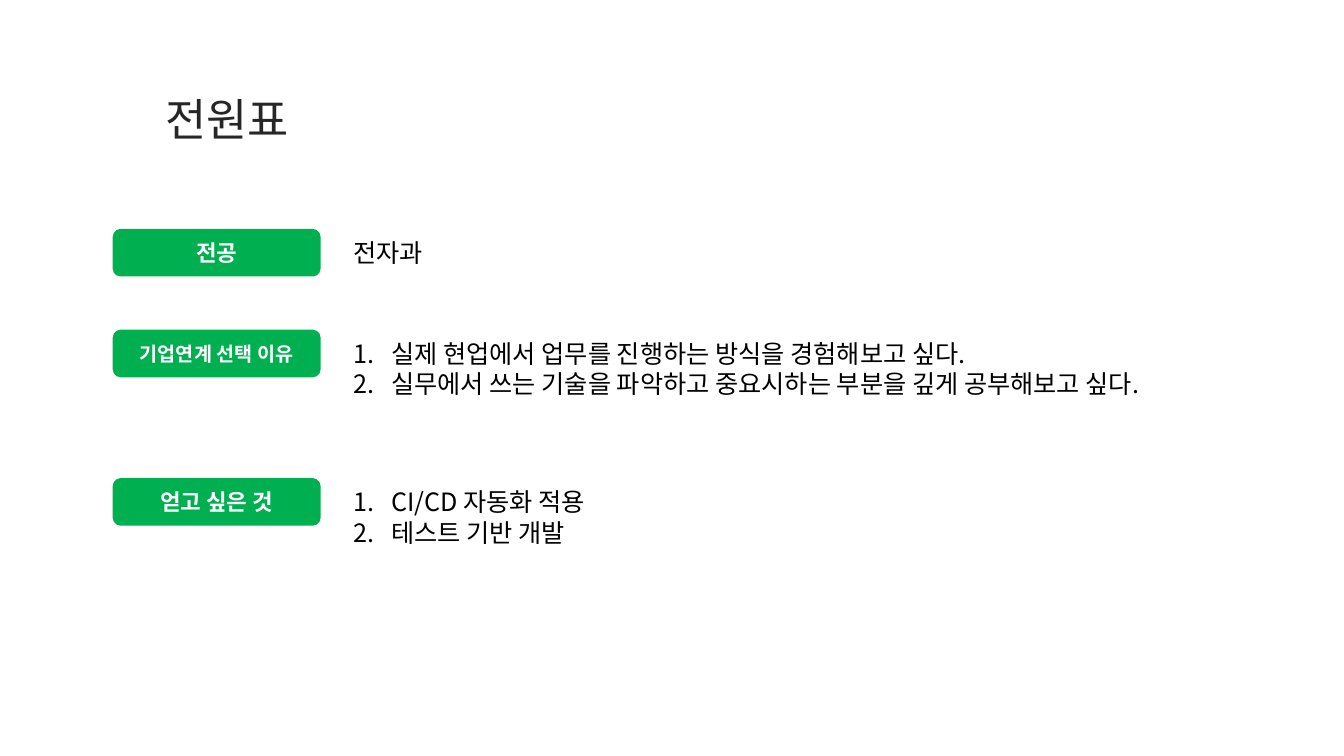
from lxml import etree
from pptx import Presentation
from pptx.dml.color import RGBColor
from pptx.enum.shapes import MSO_SHAPE as Preset
from pptx.enum.text import MSO_ANCHOR as Anchor, MSO_AUTO_SIZE as AutoSize, PP_ALIGN as Align
from pptx.oxml.ns import qn
from pptx.util import Pt

FONT = "Noto Sans CJK KR"
GREEN, WHITE, BLACK, DARK = "00B050", "FFFFFF", "000000", "262626"
LABEL_LEFT, LABEL_WIDTH, LABEL_HEIGHT = 80.5, 148.5, 34
ANSWER_LEFT, ANSWER_DROP, LIST_INDENT = 245.5, 2.5, 27

# top, label, label size, answer width, answer height, answer lines
ROWS = [
    (163.5, "전공", 16, 69, 29, ["전자과"]),
    (235.5, "기업연계 선택 이유", 14, 643, 51,
     ["실제 현업에서 업무를 진행하는 방식을 경험해보고 싶다.",
      "실무에서 쓰는 기술을 파악하고 중요시하는 부분을 깊게 공부해보고 싶다."]),
    (341.5, "얻고 싶은 것", 16, 316, 51, ["CI/CD 자동화 적용", "테스트 기반 개발"]),
]


def color(value):
    return RGBColor.from_string(value)


def points(*values):
    return [Pt(value) for value in values]


def set_attributes(target, values):
    for name, value in values.items():
        setattr(target, name, value)


def write(paragraph, text, size, text_color, bold=False):
    run = paragraph.add_run()
    run.text = text
    run.font.color.rgb = color(text_color)
    set_attributes(run.font, {"name": FONT, "size": Pt(size), "bold": bold})
    etree.SubElement(run.font._element, qn("a:ea"), typeface=FONT)


def number(paragraph):
    """Turn the paragraph into an automatically numbered list item."""
    properties = paragraph._p.get_or_add_pPr()
    properties.set("marL", str(Pt(LIST_INDENT)))
    properties.set("indent", str(-Pt(LIST_INDENT)))
    etree.SubElement(properties, qn("a:buFont"), typeface="+mj-lt")
    etree.SubElement(properties, qn("a:buAutoNum"), type="arabicPeriod")


def add_title(slide, text, left, top, width, height):
    title = slide.shapes.title
    set_attributes(title, dict(zip(("left", "top", "width", "height"),
                                   points(left, top, width, height))))
    set_attributes(title.text_frame, {"vertical_anchor": Anchor.MIDDLE, "word_wrap": True,
                                      "auto_size": AutoSize.SHAPE_TO_FIT_TEXT})
    paragraph = title.text_frame.paragraphs[0]
    paragraph.alignment = Align.LEFT
    write(paragraph, text, 32, DARK)


def add_label(slide, text, size, left, top, width, height):
    label = slide.shapes.add_shape(Preset.ROUNDED_RECTANGLE, *points(left, top, width, height))
    label.shadow.inherit = False
    label.fill.solid()
    label.fill.fore_color.rgb = color(GREEN)
    label.line.fill.background()
    label.text_frame.vertical_anchor = Anchor.MIDDLE
    paragraph = label.text_frame.paragraphs[0]
    paragraph.alignment = Align.CENTER
    write(paragraph, text, size, WHITE, bold=True)


def add_answer(slide, lines, left, top, width, height):
    """Place the answer text, numbered when it has several lines."""
    frame = slide.shapes.add_textbox(*points(left, top, width, height)).text_frame
    set_attributes(frame, {"word_wrap": True, "auto_size": AutoSize.SHAPE_TO_FIT_TEXT})
    for index, line in enumerate(lines):
        paragraph = frame.add_paragraph() if index else frame.paragraphs[0]
        if len(lines) > 1:
            number(paragraph)
        write(paragraph, line, 18, BLACK)


def add_row(slide, top, label, label_size, answer_width, answer_height, lines):
    add_label(slide, label, label_size, LABEL_LEFT, top, LABEL_WIDTH, LABEL_HEIGHT)
    add_answer(slide, lines, ANSWER_LEFT, top + ANSWER_DROP, answer_width, answer_height)


def main():
    presentation = Presentation()
    set_attributes(presentation, {"slide_width": Pt(960), "slide_height": Pt(540)})
    slide = presentation.slides.add_slide(presentation.slide_layouts[5])
    add_title(slide, "전원표", 111, 62, 596, 46)
    for row in ROWS:
        add_row(slide, *row)
    presentation.save("out.pptx")


if __name__ == "__main__":
    main()
